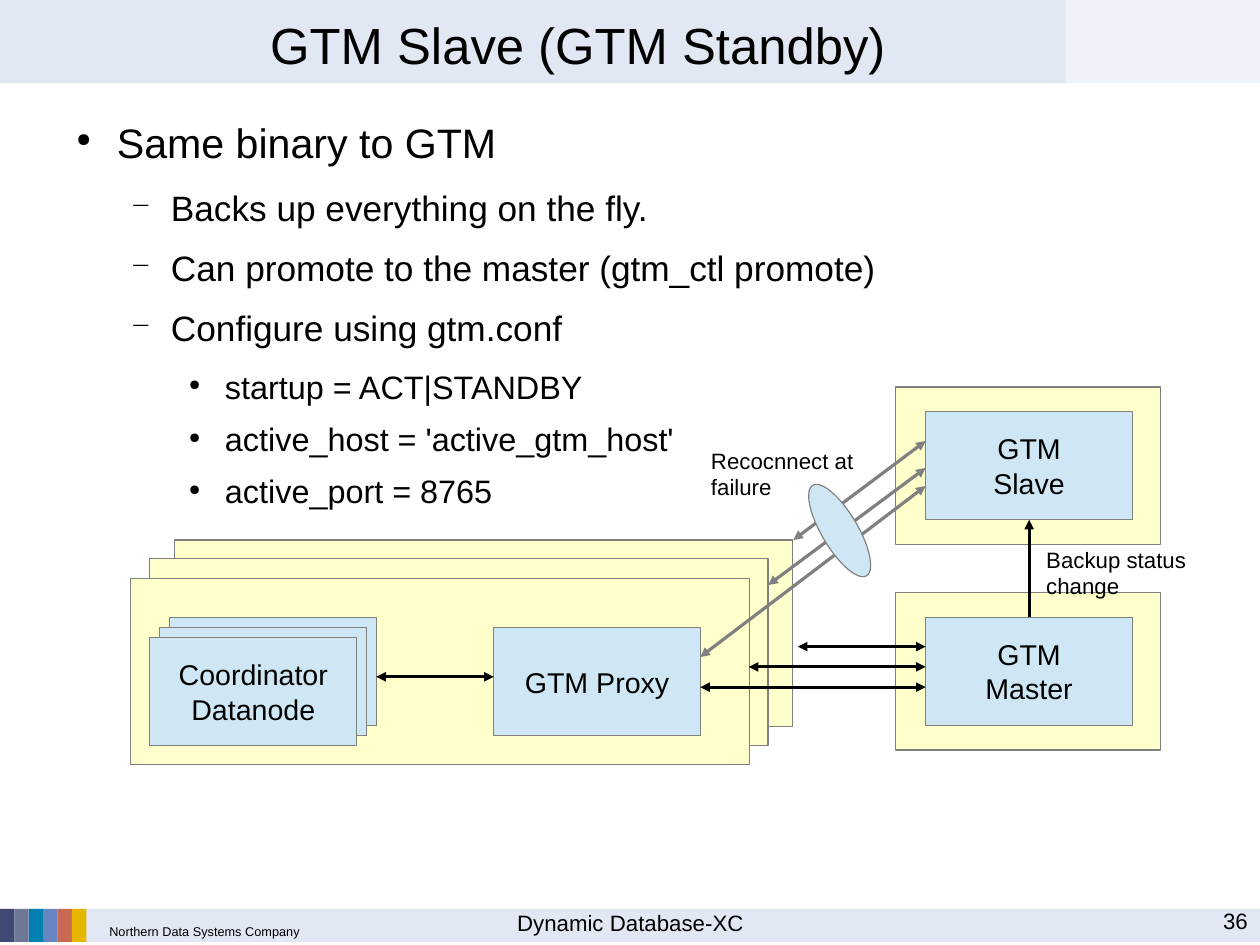
from lxml import etree
from pptx import Presentation
from pptx.dml.color import RGBColor
from pptx.enum.shapes import MSO_CONNECTOR, MSO_SHAPE
from pptx.enum.text import MSO_ANCHOR, MSO_AUTO_SIZE, PP_ALIGN
from pptx.oxml.ns import qn
from pptx.util import Cm, Pt

RECTANGLE, OVAL = MSO_SHAPE.RECTANGLE, MSO_SHAPE.OVAL
STRAIGHT = MSO_CONNECTOR.STRAIGHT
TOP, MIDDLE = MSO_ANCHOR.TOP, MSO_ANCHOR.MIDDLE
LEFT, CENTER, RIGHT = PP_ALIGN.LEFT, PP_ALIGN.CENTER, PP_ALIGN.RIGHT
NO_AUTOFIT = MSO_AUTO_SIZE.NONE

FONT = "Arial"
BLACK, GRAY, PALE = "000000", "808080", "E1E7F3"
YELLOW, BLUE = "FFFFCC", "CFE7F5"
STRIPES = ["3F4973", "6F7796", "0080B1", "6785C1", "C96953", "E6B600"]

TITLE = "GTM Slave (GTM Standby)"
BULLETS = [
    (0, "Same binary to GTM"),
    (1, "Backs up everything on the fly."),
    (1, "Can promote to the master (gtm_ctl promote)"),
    (1, "Configure using gtm.conf"),
    (2, "startup = ACT|STANDBY"),
    (2, "active_host = 'active_gtm_host'"),
    (2, "active_port = 8765"),
]
# level: size, space after, left margin (cm), hanging (cm), bullet, bullet percent
LEVELS = {
    0: (25.9, 12.4, 1.2, 0.9, "●", 45),
    1: (22.2, 11.3, 2.4, 0.9, "−", 75),
    2: (20.4, 8.5, 3.6, 0.8, "●", 45),
}

# All positions below are in centimetres.
BOX_WIDTH, BOX_HEIGHT = 4.6, 2.4
SERVER_LEFT = 20.57
SERVER_FRAMES = [(19.9, 8.6, 5.9, 3.5), (19.9, 13.17, 5.9, 3.5)]
NODE_FRAMES = [(3.87, 12, 13.75, 4.15), (3.32, 12.42, 13.75, 4.15),
               (2.9, 12.85, 13.75, 4.15)]
COORDINATOR, STACK_COUNT, STACK_STEP = (3.33, 14.17), 3, 0.22
BOXES = [
    (10.97, 13.95, ["GTM Proxy"]),
    (*COORDINATOR, ["Coordinator", "Datanode"]),
    (SERVER_LEFT, 13.72, ["GTM", "Master"]),
    (SERVER_LEFT, 9.15, ["GTM", "Slave"]),
]
MASTER_LINKS = [(15.56, 15.27), (16.64, 14.82), (17.73, 14.37)]
RECONNECT_LINKS = [(15.56, 14.6, 10.8), (17.07, 13, 10.4), (17.63, 12, 9.8)]
LABELS = [
    (15.55, 9.8, ["Recocnnect at failure"]),
    (23, 12, ["Backup status\nchange"]),
]


def color(value):
    """Turn a hex string into a colour."""
    return RGBColor.from_string(value)


def add_run(paragraph, text, size):
    """Add one black run to a paragraph."""
    run = paragraph.add_run()
    run.text = text
    run.font.name = FONT
    run.font.size = Pt(size)
    run.font.color.rgb = color(BLACK)


def write(shape, lines, size, align=LEFT, anchor=TOP, margins=(0, 0), wrap=True):
    """Write lines as paragraphs; a newline inside one is a line break."""
    frame = shape.text_frame
    frame.word_wrap = wrap
    frame.auto_size = NO_AUTOFIT
    frame.vertical_anchor = anchor
    frame.margin_left = frame.margin_right = Cm(margins[0])
    frame.margin_top = frame.margin_bottom = Cm(margins[1])
    for index, line in enumerate(lines):
        paragraph = frame.add_paragraph() if index else frame.paragraphs[0]
        paragraph.alignment = align
        for part_index, part in enumerate(line.split("\n")):
            if part_index:
                paragraph.add_line_break()
            add_run(paragraph, part, size)


def add_text(slide, place, lines, size, **options):
    """Add a text box and write in it."""
    box = slide.shapes.add_textbox(*map(Cm, place))
    write(box, lines, size, **options)


def add_block(slide, place, fill, line=None, kind=RECTANGLE):
    """Add a flat filled shape, with a hairline border if asked."""
    shape = slide.shapes.add_shape(kind, *map(Cm, place))
    shape.shadow.inherit = False
    shape.fill.solid()
    shape.fill.fore_color.rgb = color(fill)
    if line:
        shape.line.color.rgb = color(line)
        shape.line.width = Pt(0)
    else:
        shape.line.fill.background()
    return shape


def add_arrow(slide, start, end, line=BLACK, both=True):
    """Add a hairline with an arrowhead at the end, or at both ends."""
    connector = slide.shapes.add_connector(STRAIGHT, *map(Cm, (*start, *end)))
    connector.line.color.rgb = color(line)
    connector.line.width = Pt(0)
    outline = connector.line._get_or_add_ln()
    for tag in (["a:headEnd"] if both else []) + ["a:tailEnd"]:
        etree.SubElement(outline, qn(tag), type="triangle")
    etree.SubElement(connector.element.spPr, qn("a:effectLst"))


def add_bullets(slide):
    """Add the bulleted list with its three levels."""
    box = slide.shapes.add_textbox(Cm(1.4), Cm(2.6), Cm(25.2), Cm(6.6))
    write(box, [], 0)
    frame = box.text_frame
    for index, (level, text) in enumerate(BULLETS):
        size, after, margin, hanging, bullet, percent = LEVELS[level]
        paragraph = frame.add_paragraph() if index else frame.paragraphs[0]
        paragraph.level = level
        paragraph.space_after = Pt(after)
        add_run(paragraph, text, size)
        properties = paragraph._p.get_or_add_pPr()
        properties.set("marL", str(Cm(margin)))
        properties.set("indent", str(-Cm(hanging)))
        bullet_color = etree.SubElement(properties, qn("a:buClr"))
        etree.SubElement(bullet_color, qn("a:srgbClr"), val=BLACK)
        etree.SubElement(properties, qn("a:buSzPct"), val=str(percent * 1000))
        etree.SubElement(properties, qn("a:buChar"), char=bullet)


def add_header(slide):
    """Add the header bands and the title above them."""
    add_block(slide, (0, 0, 23.68, 1.85), PALE)
    band = add_block(slide, (23.68, 0, 4.32, 1.85), PALE)
    for tint in band.element.spPr.iter(qn("a:srgbClr")):
        etree.SubElement(tint, qn("a:alpha"), val="50000")
    title = slide.shapes.title
    title.left, title.top, title.width, title.height = map(Cm, (2.03, 0.08, 21.64, 1.8))
    write(title, [TITLE], 32, align=CENTER, anchor=MIDDLE)
    title.element.getparent().append(title.element)


def add_footer(slide):
    """Add the footer band, its stripes and its texts."""
    top, height, stripe = 20.2, 0.73, 0.32
    add_block(slide, (0, top, 28, height), PALE)
    for index, fill in enumerate(STRIPES):
        add_block(slide, (index * stripe, top, stripe, height), fill)
    add_text(slide, (2.2, 20.52, 6.8, 0.33), ["Northern Data Systems Company"], 8,
             margins=(0.23, 0))
    add_text(slide, (9.58, top, 8.86, 0.8), ["Dynamic Database-XC"], 14, align=CENTER)
    add_text(slide, (21.2, 20.17, 6.53, 0.8), ["36"], 14, align=RIGHT)


def add_diagram(slide):
    """Add the frames, boxes, arrows and labels of the cluster."""
    for place in SERVER_FRAMES + NODE_FRAMES:
        add_block(slide, place, YELLOW, GRAY)
    for depth in range(STACK_COUNT - 1, 0, -1):
        shift = depth * STACK_STEP
        left, top = COORDINATOR
        add_block(slide, (left + shift, top - shift, BOX_WIDTH, BOX_HEIGHT), BLUE, GRAY)
    for left, top, lines in BOXES:
        box = add_block(slide, (left, top, BOX_WIDTH, BOX_HEIGHT), BLUE, GRAY)
        write(box, lines, 18, align=CENTER, anchor=MIDDLE, margins=(0.25, 0.13), wrap=False)
    add_arrow(slide, (8.36, 15.04), (10.97, 15.04))
    server_center = SERVER_LEFT + BOX_WIDTH / 2
    add_arrow(slide, (server_center, 13.72), (server_center, 11.55), both=False)
    for left, top in MASTER_LINKS:
        add_arrow(slide, (left, top), (SERVER_LEFT, top))
    for left, top, slave_top in RECONNECT_LINKS:
        add_arrow(slide, (left, top), (SERVER_LEFT, slave_top), GRAY)
    add_block(slide, (18.26, 10.62, 0.8, 2.34), BLUE, GRAY, OVAL).rotation = 329.3
    for left, top, lines in LABELS:
        add_text(slide, (left, top, 4, 1.37), lines, 14, margins=(0.25, 0.13))


presentation = Presentation()
presentation.slide_width, presentation.slide_height = Cm(28), Cm(21)
slide = presentation.slides.add_slide(presentation.slide_layouts[5])
add_header(slide)
add_footer(slide)
add_bullets(slide)
add_diagram(slide)
presentation.save("out.pptx")
